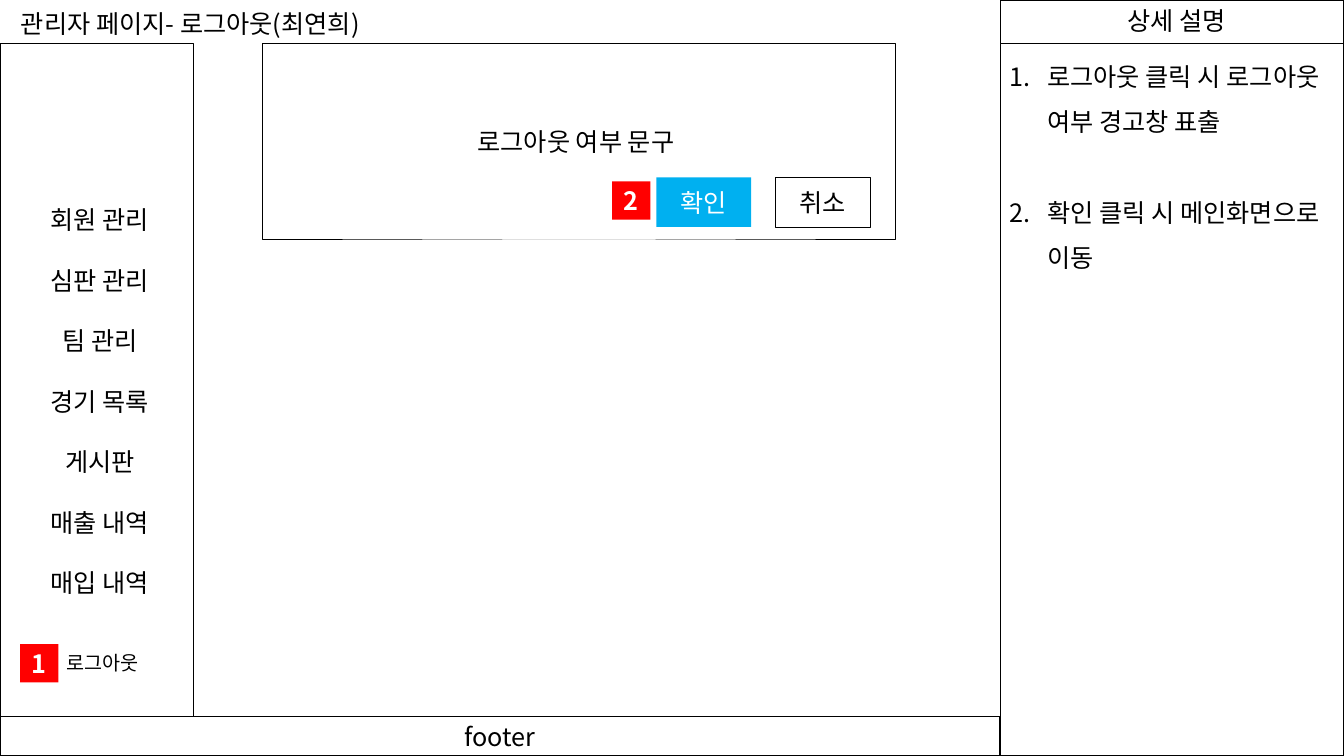
from lxml import etree
from pptx import Presentation
from pptx.dml.color import RGBColor
from pptx.enum import shapes, text
from pptx.oxml import ns
from pptx.util import Inches, Pt

FONT = "Noto Sans CJK KR"
BLACK = RGBColor(0x00, 0x00, 0x00)
WHITE = RGBColor(0xFF, 0xFF, 0xFF)
RED = RGBColor(0xFF, 0x00, 0x00)
BLUE = RGBColor(0x00, 0xB0, 0xF0)

WIDTH, HEIGHT = 13.33, 7.5
HEADER_HEIGHT = 0.43
FOOTER_HEIGHT = 0.39
SIDEBAR_WIDTH = 1.92
DETAIL_LEFT = 9.92
BADGE_SIZE = 0.38

MENU = ["회원 관리", "심판 관리", "팀 관리", "경기 목록", "게시판", "매출 내역", "매입 내역"]
DETAILS = ["로그아웃 클릭 시 로그아웃 여부 경고창 표출", "확인 클릭 시 메인화면으로 이동"]


def write(shape, lines, size=18, color=BLACK, bold=False,
          align=text.PP_ALIGN.LEFT, gap=0, line_spacing=None):
    frame = shape.text_frame
    frame.text = "\n".join(lines)
    for paragraph in frame.paragraphs:
        paragraph.alignment = align
        paragraph.line_spacing = line_spacing
        paragraph.space_after = Pt(gap)
        for run in paragraph.runs:
            run.font.name = FONT
            run.font.size = Pt(size)
            run.font.bold = bold
            run.font.color.rgb = color
            east_asian = etree.SubElement(run.font._element, ns.qn("a:ea"))
            east_asian.set("typeface", FONT)


def add_label(container, left, top, width, height, lines, wrap=True, **style):
    label = container.add_textbox(Inches(left), Inches(top), Inches(width), Inches(height))
    label.text_frame.word_wrap = wrap
    write(label, lines, **style)
    return label


def add_box(container, left, top, width, height, caption="", fill=WHITE,
            line_width=1, color=BLACK, bold=False):
    box = container.add_shape(shapes.MSO_SHAPE.RECTANGLE, Inches(left), Inches(top),
                              Inches(width), Inches(height))
    box.shadow.inherit = False
    box.fill.solid()
    box.fill.fore_color.rgb = fill
    if line_width:
        box.line.color.rgb = BLACK
        box.line.width = Pt(line_width)
    else:
        box.line.fill.background()
    if caption:
        box.text_frame.vertical_anchor = text.MSO_ANCHOR.MIDDLE
        write(box, [caption], color=color, bold=bold, align=text.PP_ALIGN.CENTER)
    return box


def add_badge(container, left, top, number):
    add_box(container, left, top, BADGE_SIZE, BADGE_SIZE, number, RED, 0, WHITE, True)


def add_detail_panel(slide, left, top, width, height):
    body_top = top + HEADER_HEIGHT
    add_box(slide.shapes, left, body_top, width, height - HEADER_HEIGHT)
    add_box(slide.shapes, left, top, width, HEADER_HEIGHT)
    add_label(slide.shapes, left + 1.16, top, 1.3, 0.4, ["상세 설명"], wrap=False)
    notes = add_label(slide.shapes, left - 0.01, body_top - 0.02, width + 0.01, 2.77,
                      DETAILS, gap=32.4, line_spacing=1.5)
    for paragraph in notes.text_frame.paragraphs:
        properties = paragraph._p.get_or_add_pPr()
        properties.set("marL", str(Inches(0.38)))
        properties.set("indent", str(-Inches(0.38)))
        bullet_font = etree.SubElement(properties, ns.qn("a:buFont"))
        bullet_font.set("typeface", FONT)
        numbering = etree.SubElement(properties, ns.qn("a:buAutoNum"))
        numbering.set("type", "arabicPeriod")


def add_sidebar(slide, left, top, width, height):
    add_box(slide.shapes, left, top, width, height)
    add_label(slide.shapes, left + 0.03, top + 1.55, width, 4.34, MENU,
              align=text.PP_ALIGN.CENTER, gap=21.6)
    add_label(slide.shapes, left + 0.56, top + 5.98, 1.31, 0.34, ["로그아웃"], size=14)
    add_badge(slide.shapes, left + 0.2, top + 5.96, "1")


def add_dialog(slide, left, top, width, height):
    dialog = slide.shapes.add_group_shape().shapes
    button_top = top + 1.33
    add_box(dialog, left, top, width, height, "로그아웃 여부 문구 ", line_width=0.25)
    add_box(dialog, left + 3.91, button_top, 0.94, 0.49, "확인", BLUE, 0, WHITE)
    add_box(dialog, left + 5.09, button_top, 0.94, 0.49, "취소", line_width=0.25)
    add_badge(slide.shapes, left + 3.47, button_top + 0.04, "2")


def main():
    presentation = Presentation()
    presentation.slide_width = Inches(WIDTH)
    presentation.slide_height = Inches(HEIGHT)
    slide = presentation.slides.add_slide(presentation.slide_layouts[6])

    footer_top = HEIGHT - FOOTER_HEIGHT
    add_detail_panel(slide, DETAIL_LEFT, 0, WIDTH - DETAIL_LEFT, HEIGHT)
    add_label(slide.shapes, 0.11, 0.03, 4.01, 0.4,
              ["관리자 페이지- 로그아웃(최연희)"], wrap=False)
    add_sidebar(slide, 0, HEADER_HEIGHT, SIDEBAR_WIDTH, footer_top - HEADER_HEIGHT)
    add_box(slide.shapes, 0, footer_top, DETAIL_LEFT, FOOTER_HEIGHT, "footer")
    add_dialog(slide, 2.6, HEADER_HEIGHT, 6.28, 1.94)

    presentation.save("out.pptx")


if __name__ == "__main__":
    main()
